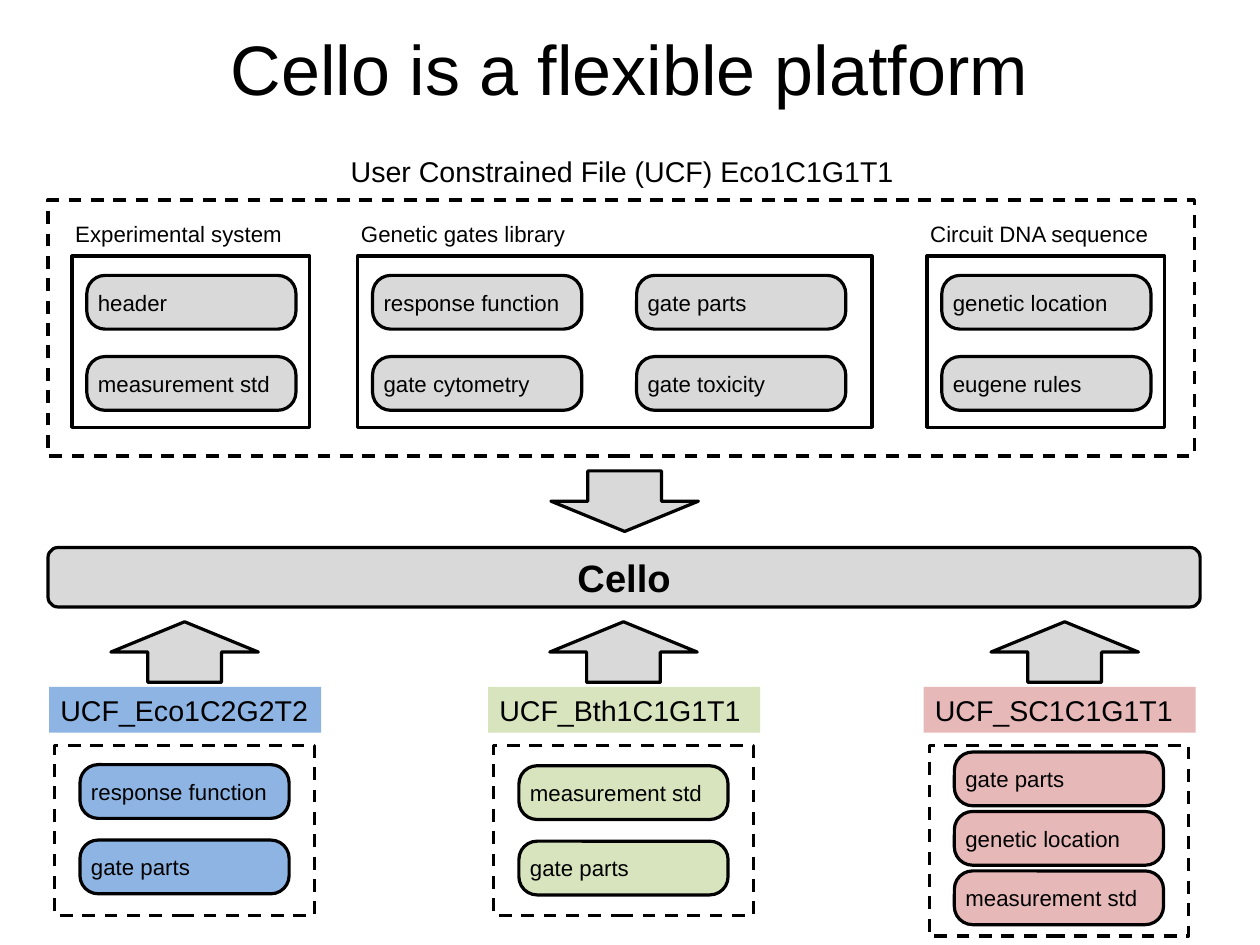
"""Builds a slide on how user constrained files feed the Cello platform."""
from pptx import Presentation
from pptx.dml.color import RGBColor
from pptx.enum.dml import MSO_LINE
from pptx.enum.shapes import MSO_SHAPE
from pptx.enum.text import MSO_ANCHOR, PP_ALIGN
from pptx.util import Inches, Pt

RECT, PILL = MSO_SHAPE.RECTANGLE, MSO_SHAPE.ROUNDED_RECTANGLE
UP, DOWN = MSO_SHAPE.UP_ARROW, MSO_SHAPE.DOWN_ARROW
DASH = MSO_LINE.DASH
MIDDLE = MSO_ANCHOR.MIDDLE
LEFT, CENTER = PP_ALIGN.LEFT, PP_ALIGN.CENTER
BLACK = RGBColor(0x00, 0x00, 0x00)
GRAY = RGBColor(0xD9, 0xD9, 0xD9)
BLUE = RGBColor(0x8E, 0xB4, 0xE3)
GREEN = RGBColor(0xD7, 0xE4, 0xBD)
PINK = RGBColor(0xE6, 0xB9, 0xB8)

PAGE_WIDTH, PAGE_HEIGHT = 28 / 2.54, 21 / 2.54
PILL_WIDTH, PILL_HEIGHT = 1.83, 0.47
ARROW_WIDTH, ARROW_HEIGHT = 1.29, 0.53

prs = Presentation()
prs.slide_width = Inches(PAGE_WIDTH)
prs.slide_height = Inches(PAGE_HEIGHT)
slide = prs.slides.add_slide(prs.slide_layouts[6])


def write(box, text, size, align=LEFT, bold=False):
    frame = box.text_frame
    frame.word_wrap = True
    frame.vertical_anchor = MIDDLE
    frame.text = text
    paragraph = frame.paragraphs[0]
    paragraph.alignment = align
    font = paragraph.runs[0].font
    font.name, font.size, font.bold = "Arial", Pt(size), bold
    font.color.rgb = BLACK


def draw(kind, left, top, width, height, fill=None, outlined=True):
    shape = slide.shapes.add_shape(kind, Inches(left), Inches(top), Inches(width), Inches(height))
    shape.shadow.inherit = False
    if fill is None:
        shape.fill.background()
    else:
        shape.fill.solid()
        shape.fill.fore_color.rgb = fill
    if outlined:
        shape.line.color.rgb = BLACK
        shape.line.width = Pt(2)
    else:
        shape.line.fill.background()
    return shape


captions = [
    ("Cello is a flexible platform", 0, 0.17, PAGE_WIDTH, 0.84, 44.1, CENTER),
    ("User Constrained File (UCF) Eco1C1G1T1", 2.97, 1.3, 5, 0.4, 18, LEFT),
]
parts = []

draw(RECT, 0.42, 1.75, 10.03, 2.24).line.dash_style = DASH
sections = [
    ("Experimental system", 0.63, 2.08, [["header", "measurement std"]]),
    ("Genetic gates library", 3.13, 4.5,
     [["response function", "gate cytometry"], ["gate parts", "gate toxicity"]]),
    ("Circuit DNA sequence", 8.11, 2.08, [["genetic location", "eugene rules"]]),
]
for heading, left, width, columns in sections:
    captions.append((heading, left - 0.07, 1.87, 2.12, 0.34, 14, LEFT))
    draw(RECT, left, 2.24, width, 1.5)
    for col, names in enumerate(columns):
        for row, name in enumerate(names):
            parts.append((name, left + 0.13 + 2.31 * col, 2.41 + 0.71 * row, GRAY))

draw(DOWN, 4.82, 4.12, ARROW_WIDTH, ARROW_HEIGHT, GRAY)
platform = draw(PILL, 0.42, 4.79, 10.08, 0.52, GRAY)
write(platform, "Cello", 24, CENTER, bold=True)

variants = [
    ("UCF_Eco1C2G2T2", 0.7, 0.97, BLUE, 1.49, 6.69, 0.66,
     ["response function", "gate parts"]),
    ("UCF_Bth1C1G1T1", 4.54, 4.81, GREEN, 1.49, 6.7, 0.66,
     ["measurement std", "gate parts"]),
    ("UCF_SC1C1G1T1", 8.35, 8.67, PINK, 1.67, 6.58, 0.52,
     ["gate parts", "genetic location", "measurement std"]),
]
for title, left, arrow_left, color, height, first_top, step, names in variants:
    draw(UP, arrow_left, 5.44, ARROW_WIDTH, ARROW_HEIGHT, GRAY)
    label = draw(RECT, left - 0.27, 6.01, 2.38, 0.4, color, outlined=False)
    write(label, title, 18)
    draw(RECT, left - 0.22, 6.52, 2.27, height).line.dash_style = DASH
    for row, name in enumerate(names):
        parts.append((name, left, first_top + step * row, color))

for name, left, top, color in parts:
    pill = draw(PILL, left, top, PILL_WIDTH, PILL_HEIGHT, color)
    pill.adjustments[0] = 0.34
    pill.text_frame.margin_left = pill.text_frame.margin_right = Inches(0.05)
    write(pill, name, 14)

for text, left, top, width, height, size, align in captions:
    caption = slide.shapes.add_textbox(Inches(left), Inches(top), Inches(width), Inches(height))
    write(caption, text, size, align)

prs.save("out.pptx")
